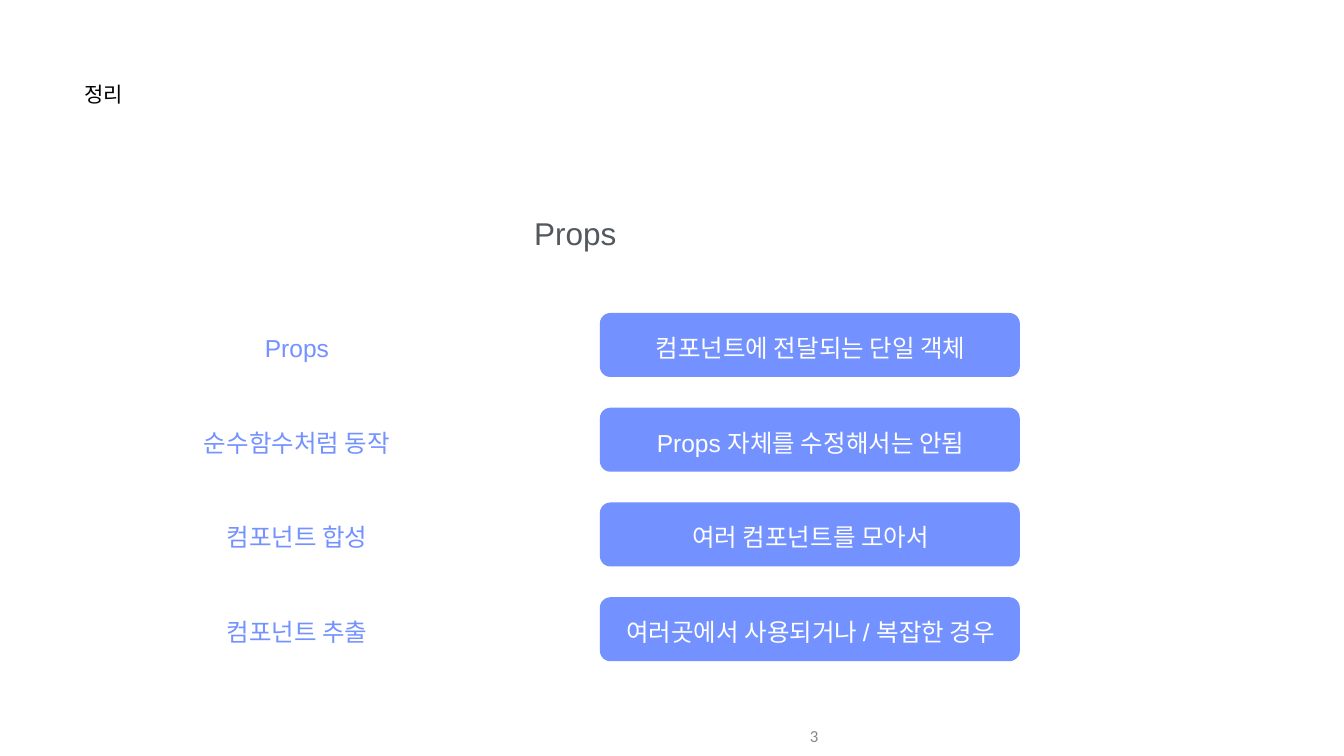
from pptx import Presentation
from pptx import util as u
from pptx.dml.color import RGBColor
from pptx.enum import shapes, text

TITLE = "정리"
HEADING = "Props"
PAGE_NUMBER = "3"
ROWS = [
    ("Props", "컴포넌트에 전달되는 단일 객체"),
    ("순수함수처럼 동작", "Props 자체를 수정해서는 안됨"),
    ("컴포넌트 합성", "여러 컴포넌트를 모아서"),
    ("컴포넌트 추출", "여러곳에서 사용되거나 / 복잡한 경우"),
]

THEME = {
    "title": {"size": 30, "font": "Arial", "color": "000000"},
    "heading": {"size": 45, "font": "Arial", "color": "53585F"},
    "label": {"size": 35, "font": "Arial", "color": "7391FF"},
    "pill": {"size": 35, "font": "Arial", "color": "FFFFFF"},
    "number": {"size": 24, "font": "Calibri", "color": "888888"},
    "pill_fill": "7391FF",
}

ROW_TOP, ROW_PITCH, ROW_HEIGHT = 6.21, 1.88, 1.27
LABEL_LEFT, LABEL_WIDTH = 2.75, 6.25
PILL_LEFT, PILL_WIDTH = 11.9, 8.33
TIGHT = (0.01, 0.01, 0.01, 0.01)
ROW_INSETS = (0.04, 0.11, 0.01, 0.01)

LEFT, CENTER, RIGHT = (
    text.PP_ALIGN.LEFT, text.PP_ALIGN.CENTER, text.PP_ALIGN.RIGHT)
TOP, MIDDLE = text.MSO_ANCHOR.TOP, text.MSO_ANCHOR.MIDDLE


def write(shape, words, role, align, anchor, insets):
    """Fill a shape with one line; insets run left, top, right, bottom."""
    style = THEME[role]
    frame = shape.text_frame
    frame.word_wrap = True
    frame.vertical_anchor = anchor
    (frame.margin_left, frame.margin_top,
     frame.margin_right, frame.margin_bottom) = map(u.Inches, insets)
    para = frame.paragraphs[0]
    para.alignment = align
    span = para.add_run()
    span.text = words
    span.font.size = u.Pt(style["size"])
    span.font.name = style["font"]
    span.font.color.rgb = RGBColor.from_string(style["color"])


def add_text(page, area, words, role, align=LEFT, anchor=TOP, insets=TIGHT):
    box = page.shapes.add_textbox(*map(u.Inches, area))
    write(box, words, role, align, anchor, insets)


def add_pill(page, area, words):
    pill = page.shapes.add_shape(
        shapes.MSO_SHAPE.ROUNDED_RECTANGLE, *map(u.Inches, area))
    pill.adjustments[0] = 0.164
    pill.shadow.inherit = False
    pill.fill.solid()
    pill.fill.fore_color.rgb = RGBColor.from_string(THEME["pill_fill"])
    pill.line.fill.background()
    write(pill, words, "pill", CENTER, MIDDLE, ROW_INSETS)


def main():
    deck = Presentation()
    deck.slide_width, deck.slide_height = u.Inches(26.66), u.Inches(15)
    page = deck.slides.add_slide(deck.slide_layouts[6])

    add_text(page, (1.67, 1.6, 4.86, 1.18), TITLE, "title")
    add_text(page, (2.64, 4.24, 17.54, 0.79), HEADING, "heading", CENTER)
    for index, (label, meaning) in enumerate(ROWS):
        top = ROW_TOP + index * ROW_PITCH
        add_text(page, (LABEL_LEFT, top, LABEL_WIDTH, ROW_HEIGHT), label,
                 "label", CENTER, MIDDLE, ROW_INSETS)
        add_pill(page, (PILL_LEFT, top, PILL_WIDTH, ROW_HEIGHT), meaning)
    add_text(page, (10.33, 14.21, 6, 0.79), PAGE_NUMBER, "number", RIGHT,
             MIDDLE, (0.1, 0.05, 0.1, 0.05))

    deck.save("out.pptx")


if __name__ == "__main__":
    main()
